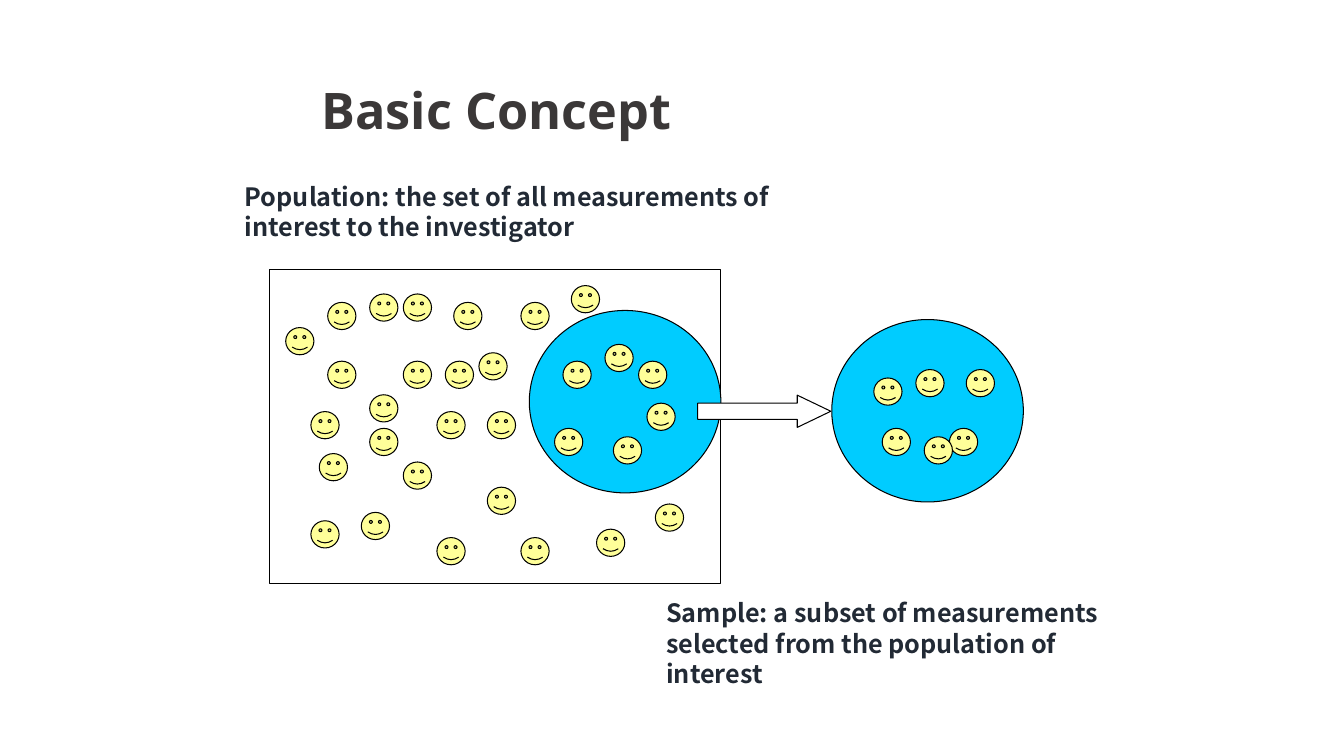
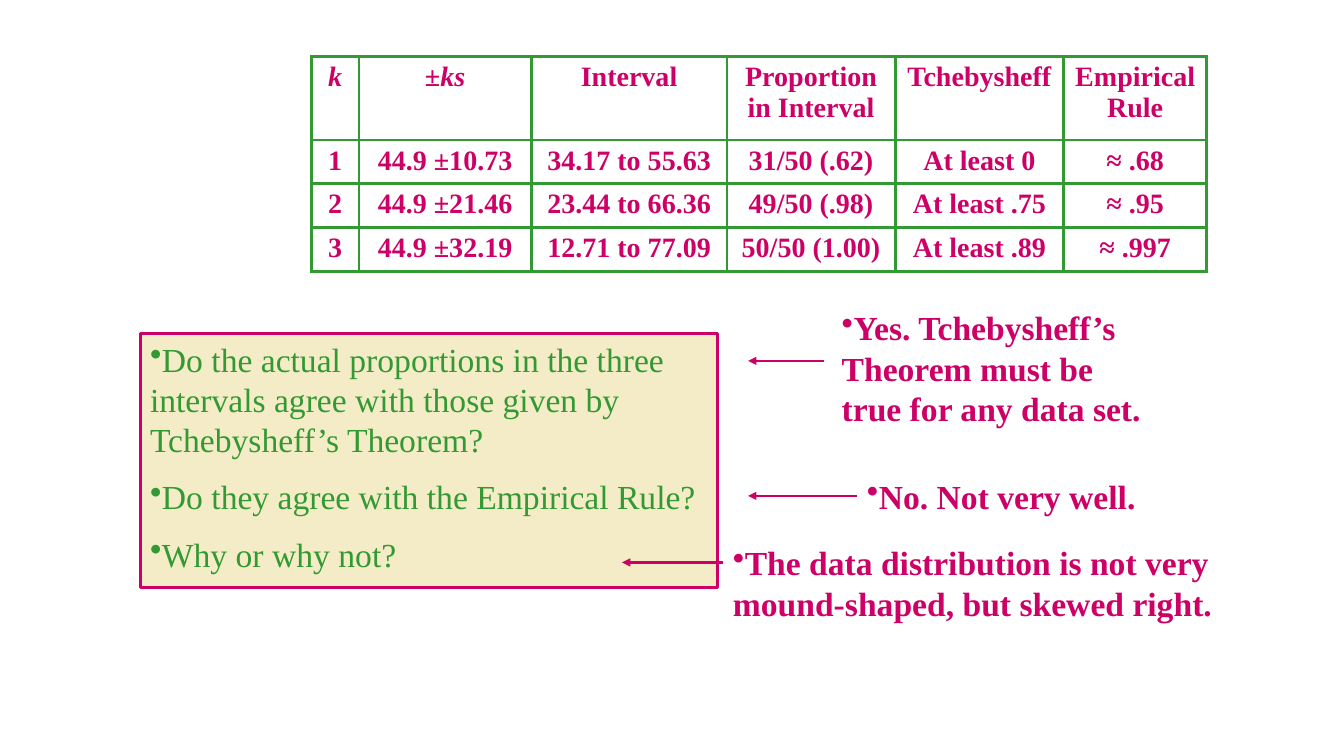
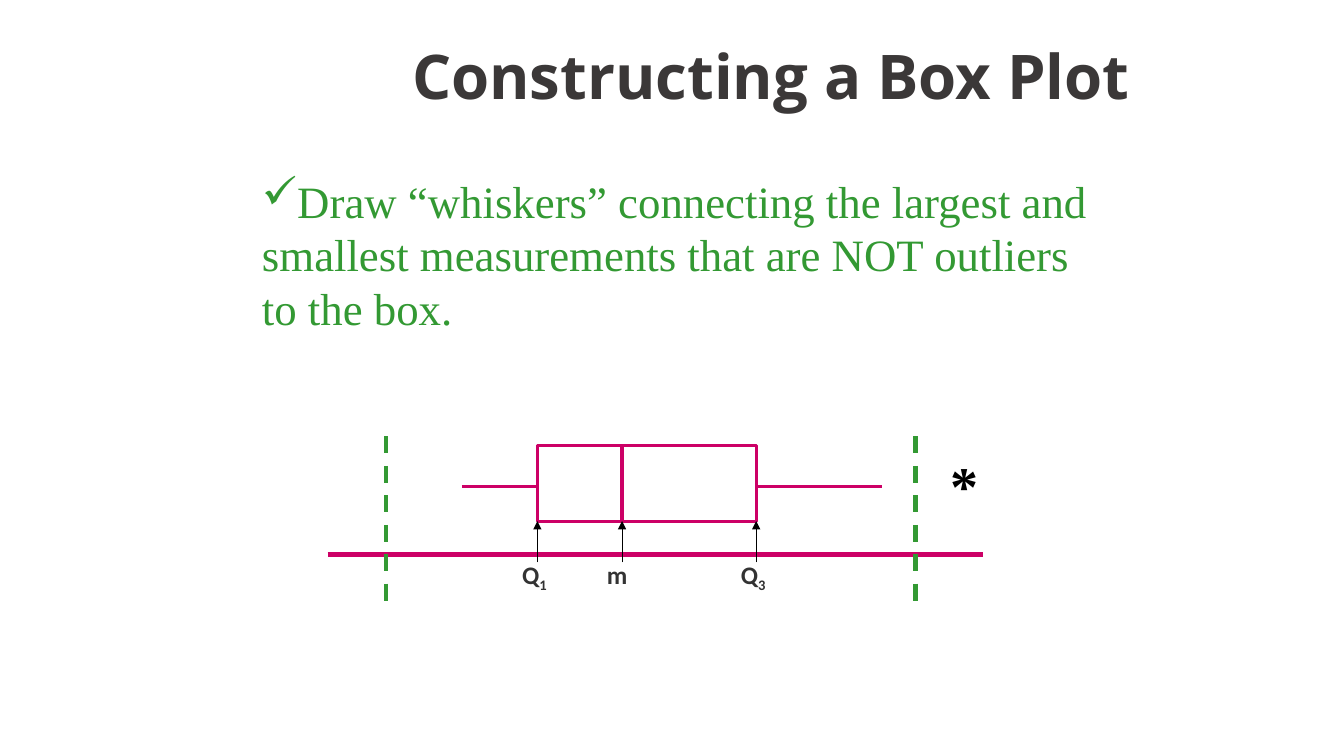
from lxml import etree
from pptx import Presentation
from pptx.dml.color import RGBColor
from pptx.enum.dml import MSO_LINE
from pptx.enum.shapes import MSO_CONNECTOR, MSO_SHAPE
from pptx.enum.text import MSO_ANCHOR, PP_ALIGN
from pptx.oxml.ns import qn
from pptx.util import Inches, Pt

RECTANGLE = MSO_SHAPE.RECTANGLE
OVAL = MSO_SHAPE.OVAL
SMILEY = MSO_SHAPE.SMILEY_FACE
RIGHT_ARROW = MSO_SHAPE.RIGHT_ARROW
STRAIGHT = MSO_CONNECTOR.STRAIGHT
DASH = MSO_LINE.DASH
LEFT, CENTER = PP_ALIGN.LEFT, PP_ALIGN.CENTER
TOP, MIDDLE = MSO_ANCHOR.TOP, MSO_ANCHOR.MIDDLE

WHITE = RGBColor(0xFF, 0xFF, 0xFF)
BLACK = RGBColor(0x00, 0x00, 0x00)
TITLE_GRAY = RGBColor(0x3B, 0x38, 0x38)
LABEL_GRAY = RGBColor(0x33, 0x33, 0x33)
NAVY = RGBColor(0x22, 0x2A, 0x35)
SKY = RGBColor(0x00, 0xCC, 0xFF)
YELLOW = RGBColor(0xFF, 0xFF, 0x99)
CREAM = RGBColor(0xF4, 0xEC, 0xC6)
MAGENTA = RGBColor(0xCC, 0x00, 0x66)
GREEN = RGBColor(0x33, 0x99, 0x33)

TITLE_FONT = "Open Sans"
CAPTION_FONT = "Noto Sans CJK KR"
SERIF = "Times New Roman"
LABEL_FONT = "Calibri"

TITLE_ONLY, BLANK = 5, 6
GRID = 1 / 12

POPULATION_ROWS = {
    34: [68], 35: [44, 48], 36: [39, 54, 62], 39: [34], 41: [72], 42: [57],
    43: [39, 48, 53, 67, 76], 47: [44], 48: [77], 49: [37, 52, 58],
    51: [44, 66], 52: [73], 54: [38], 55: [48], 58: [58], 60: [78],
    61: [43], 62: [37], 63: [71], 64: [52, 62],
}
SAMPLE_ROWS = {44: [109, 115], 45: [104], 51: [105, 113], 52: [110]}

COLUMN_WIDTHS = [0.47, 1.71, 1.94, 1.67, 1.67, 1.42]
ROW_HEIGHTS = [0.83, 0.43, 0.43, 0.43]
INTERVAL_ROWS = [
    ["k", "±ks", "Interval", "Proportion\nin Interval", "Tchebysheff", "Empirical Rule"],
    ["1", "44.9 ±10.73", "34.17 to 55.63", "31/50 (.62)", "At least 0", "≈ .68"],
    ["2", "44.9 ±21.46", "23.44 to 66.36", "49/50 (.98)", "At least .75", "≈ .95"],
    ["3", "44.9 ±32.19", "12.71 to 77.09", "50/50 (1.00)", "At least .89", "≈ .997"],
]
QUESTIONS = [
    "Do the actual proportions in the three intervals agree with those given by "
    "Tchebysheff’s Theorem?",
    "Do they agree with the Empirical Rule?",
    "Why or why not?",
]


def inches(*lengths):
    return [Inches(length) for length in lengths]


def style_font(font, name, size, color, bold=False):
    font.name = name
    font.size = Pt(size)
    font.color.rgb = color
    font.bold = bold


def write_text(text_frame, lines, font, bullet=None, gap=12):
    text_frame.word_wrap = True
    text_frame.vertical_anchor = TOP
    text_frame.text = "\n".join(lines)
    for index, paragraph in enumerate(text_frame.paragraphs):
        paragraph.alignment = LEFT
        if index:
            paragraph.space_before = Pt(gap)
        if bullet:
            properties = paragraph._p.get_or_add_pPr()
            etree.SubElement(properties, qn("a:buChar")).set("char", bullet)
        for run in paragraph.runs:
            style_font(run.font, *font)


def add_text(slide, box, text, font, bullet=None):
    shape = slide.shapes.add_textbox(*inches(*box))
    write_text(shape.text_frame, [text], font, bullet)
    return shape


def add_title(slide, box, text, size, alignment):
    title = slide.shapes.title
    title.left, title.top, title.width, title.height = inches(*box)
    title.text_frame.text = text
    title.text_frame.vertical_anchor = MIDDLE
    paragraph = title.text_frame.paragraphs[0]
    paragraph.alignment = alignment
    paragraph.line_spacing = 0.9
    style_font(paragraph.runs[0].font, TITLE_FONT, size, TITLE_GRAY, True)


def add_shape(slide, kind, box, fill=None, line=BLACK, width=0.75):
    shape = slide.shapes.add_shape(kind, *inches(*box))
    shape.shadow.inherit = False
    if fill is None:
        shape.fill.background()
    else:
        shape.fill.solid()
        shape.fill.fore_color.rgb = fill
    shape.line.color.rgb = line
    shape.line.width = Pt(width)
    return shape


def add_line(slide, start, end, color, width, arrow=False, dash=None):
    line = slide.shapes.add_connector(STRAIGHT, *inches(*start, *end))
    line.line.color.rgb = color
    line.line.width = Pt(width)
    if dash is not None:
        line.line.dash_style = dash
    if arrow:
        outline = line.line._get_or_add_ln()
        etree.SubElement(outline, qn("a:tailEnd")).set("type", "triangle")
    etree.SubElement(line._element.spPr, qn("a:effectLst"))


def add_smileys(slide, rows):
    for row, columns in rows.items():
        for column in columns:
            box = (column * GRID, row * GRID, 0.28, 0.27)
            add_shape(slide, SMILEY, box, YELLOW).adjustments[0] = 0.047


def add_borders(cell, color, width):
    properties = cell._tc.get_or_add_tcPr()
    for side in ("a:lnL", "a:lnR", "a:lnT", "a:lnB"):
        border = etree.SubElement(properties, qn(side), w=str(Pt(width)))
        fill = etree.SubElement(border, qn("a:solidFill"))
        etree.SubElement(fill, qn("a:srgbClr"), val=str(color))


def add_interval_table(slide):
    box = (3.09, 0.56, sum(COLUMN_WIDTHS), sum(ROW_HEIGHTS))
    table = slide.shapes.add_table(
        len(ROW_HEIGHTS), len(COLUMN_WIDTHS), *inches(*box)).table
    for column, width in zip(table.columns, COLUMN_WIDTHS):
        column.width = Inches(width)
    for row, height, texts in zip(table.rows, ROW_HEIGHTS, INTERVAL_ROWS):
        row.height = Inches(height)
        for cell, text in zip(row.cells, texts):
            add_borders(cell, GREEN, 2.25)
            cell.fill.solid()
            cell.fill.fore_color.rgb = WHITE
            cell.text_frame.text = text
            for paragraph in cell.text_frame.paragraphs:
                paragraph.alignment = CENTER
                for run in paragraph.runs:
                    style_font(run.font, SERIF, 20, MAGENTA, True)
                    run.font.italic = text in ("k", "±ks")


def add_quartile(slide, x, label_left, letter, subscript=""):
    font = (LABEL_FONT, 18, LABEL_GRAY, True)
    label = add_text(slide, (label_left, 5.5, 1, 0.4), letter, font)
    if subscript:
        run = label.text_frame.paragraphs[0].add_run()
        run.text = subscript
        style_font(run.font, *font)
        run.font._element.set("baseline", "-25000")
    add_line(slide, (x, 5.58), (x, 5.17), BLACK, 0.75, arrow=True)


def build_concept(presentation):
    slide = presentation.slides.add_slide(presentation.slide_layouts[TITLE_ONLY])
    add_title(slide, (3.09, 0.4, 9.33, 1.45), "Basic Concept", 36, LEFT)
    add_shape(slide, RECTANGLE, (2.67, 2.67, 4.48, 3.12), WHITE)
    for left, top in ((5.25, 3.08), (8.25, 3.17)):
        add_shape(slide, OVAL, (left, top, 1.9, 1.81), SKY)
    add_smileys(slide, POPULATION_ROWS)
    add_smileys(slide, SAMPLE_ROWS)
    arrow = add_shape(slide, RIGHT_ARROW, (6.92, 3.92, 1.32, 0.32), WHITE)
    arrow.adjustments[1] = 1.04
    font = (CAPTION_FONT, 18, NAVY, True)
    add_text(slide, (2.33, 1.75, 5.67, 0.7),
             "Population: the set of all measurements of interest to the investigator", font)
    add_text(slide, (6.51, 5.88, 4.8, 0.7),
             "Sample: a subset of measurements selected from the population of interest", font)


def build_comparison(presentation):
    slide = presentation.slides.add_slide(presentation.slide_layouts[BLANK])
    add_interval_table(slide)
    panel = add_shape(slide, RECTANGLE, (1.39, 3.31, 5.73, 2.52), CREAM, MAGENTA, 2.25)
    write_text(panel.text_frame, QUESTIONS, (SERIF, 24, GREEN), "•")
    answers = [
        ((8.25, 3, 3.17, 1.31), "Yes. Tchebysheff’s Theorem must be true for any data set.",
         (8.17, 3.58), 7.42),
        ((8.5, 4.67, 3.17, 0.5), "No. Not very well.", (8.5, 4.92), 7.42),
        ((7.17, 5.33, 5.92, 0.91),
         "The data distribution is not very mound-shaped, but skewed right.",
         (7.17, 5.58), 6.17),
    ]
    for box, text, start, tip in answers:
        add_text(slide, box, text, (SERIF, 24, MAGENTA, True), "•")
        add_line(slide, start, (tip, start[1]), MAGENTA, 1.5, arrow=True)


def build_box_plot(presentation):
    slide = presentation.slides.add_slide(presentation.slide_layouts[TITLE_ONLY])
    add_title(slide, (2.9, 0.33, 9.5, 0.92), "Constructing a Box Plot", 44, CENTER)
    add_line(slide, (3.25, 5.5), (9.75, 5.5), MAGENTA, 3)
    add_shape(slide, RECTANGLE, (5.33, 4.42, 2.17, 0.75), None, MAGENTA, 2.25)
    add_line(slide, (6.17, 4.42), (6.17, 5.17), MAGENTA, 3)
    add_quartile(slide, 5.33, 5.08, "Q", "1")
    add_quartile(slide, 6.17, 5.92, "m")
    add_quartile(slide, 7.5, 7.25, "Q", "3")
    for fence in (3.83, 9.08):
        add_line(slide, (fence, 4.33), (fence, 6.08), GREEN, 3, dash=DASH)
    add_text(slide, (9.33, 4.42, 0.75, 0.77), "*", (SERIF, 40, BLACK, True))
    add_text(slide, (2.5, 1.67, 8.5, 1.72),
             "Draw “whiskers” connecting the largest and smallest measurements "
             "that are NOT outliers to the box.", (SERIF, 32, GREEN), "✓")
    for start, end in ((7.5, 8.75), (4.58, 5.33)):
        add_line(slide, (start, 4.83), (end, 4.83), MAGENTA, 2.25)


def main():
    presentation = Presentation()
    presentation.slide_width, presentation.slide_height = inches(13.33, 7.5)
    build_concept(presentation)
    build_comparison(presentation)
    build_box_plot(presentation)
    presentation.save("out.pptx")


if __name__ == "__main__":
    main()
